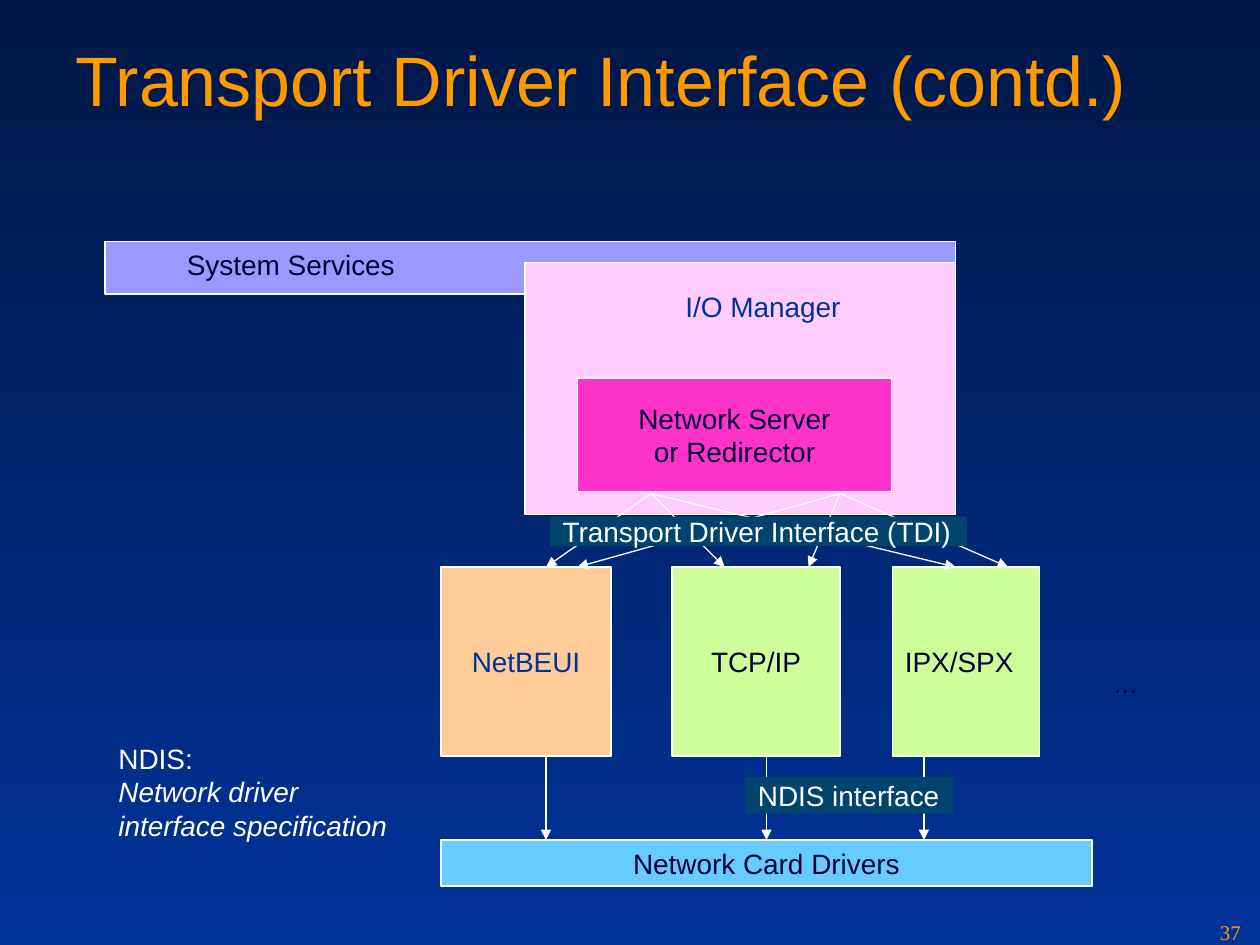
from lxml import etree
from pptx import Presentation
from pptx import util as u
from pptx.dml.color import RGBColor
from pptx.enum import shapes, text
from pptx.oxml.ns import qn

NAVY = RGBColor(0x00, 0x17, 0x46)
BLUE = RGBColor(0x00, 0x33, 0x99)
INK = RGBColor(0x00, 0x00, 0x33)
WHITE = RGBColor(0xFF, 0xFF, 0xFF)
ORANGE = RGBColor(0xFE, 0x99, 0x00)
LILAC = RGBColor(0x99, 0x99, 0xFF)
PALE_PINK = RGBColor(0xFF, 0xCC, 0xFF)
MAGENTA = RGBColor(0xFF, 0x33, 0xCC)
PEACH = RGBColor(0xFF, 0xCC, 0x99)
LIME = RGBColor(0xCC, 0xFF, 0x99)
SKY = RGBColor(0x66, 0xCC, 0xFF)
TEAL = RGBColor(0x00, 0x43, 0x6E)

TOP, MIDDLE = text.MSO_ANCHOR.TOP, text.MSO_ANCHOR.MIDDLE
LEFT, CENTER = text.PP_ALIGN.LEFT, text.PP_ALIGN.CENTER

# Rows shared by the arrows and the boxes they join
SOURCE_ROW, PROTOCOL_ROW, PROTOCOL_END, DRIVER_ROW = 47, 54, 72, 80


def grid(*cells):
    """Turn columns and rows of the 120 x 90 grid into lengths."""
    return [u.Inches(c / 12) for c in cells]


def write(sp, lines, color, align=LEFT, anchor=TOP, wrap=True, indent=0.1, **fmt):
    tf = sp.text_frame
    tf.word_wrap = wrap
    tf.vertical_anchor = anchor
    tf.margin_left = u.Inches(indent)
    for i, line in enumerate(lines):
        p = tf.paragraphs[0] if i == 0 else tf.add_paragraph()
        p.text = line
        p.alignment = align
        for name, value in {"name": "Arial", "size": u.Pt(16), **fmt}.items():
            setattr(p.font, name, value)
        p.font.color.rgb = color


def box(s, cells, fill, lines=(), color=INK, outline=True, **layout):
    sp = s.shapes.add_shape(shapes.MSO_SHAPE.RECTANGLE, *grid(*cells))
    sp.shadow.inherit = False
    sp.fill.solid()
    sp.fill.fore_color.rgb = fill
    if outline:
        sp.line.color.rgb = WHITE
        sp.line.width = u.Pt(0.75)
    else:
        sp.line.fill.background()
    write(sp, lines, color, **layout)
    return sp


def label(s, cells, lines, color, **layout):
    sp = s.shapes.add_textbox(*grid(*cells))
    write(sp, lines, color, **layout)
    return sp


def arrow(s, start, end):
    cx = s.shapes.add_connector(shapes.MSO_CONNECTOR.STRAIGHT, *grid(*start, *end))
    cx.line.color.rgb = WHITE
    cx.line.width = u.Pt(0.75)
    etree.SubElement(cx.line._get_or_add_ln(), qn("a:tailEnd"), type="triangle")
    etree.SubElement(cx._element.spPr, qn("a:effectLst"))
    return cx


def background(s):
    fill = s.background.fill
    fill.gradient()
    fill.gradient_angle = 270
    for stop, color, position in zip(fill.gradient_stops, (NAVY, BLUE), (0, 1)):
        stop.color.rgb = color
        stop.position = position


def title(s, words):
    sp = s.shapes.title
    frame = dict(zip(("left", "top", "width", "height"), grid(6, 2.9, 108, 15)))
    for name, value in frame.items():
        setattr(sp, name, value)
    write(sp, [words], ORANGE, size=u.Pt(40))


def main():
    prs = Presentation()
    prs.slide_width, prs.slide_height = grid(120, 90)
    s = prs.slides.add_slide(prs.slide_layouts[5])
    background(s)
    title(s, "Transport Driver Interface (contd.)")

    # System layers
    box(s, (10, 23, 81, 5), LILAC, ["System Services"], indent=0.65)
    box(s, (50, 25, 41, 24), PALE_PINK)
    label(s, (64.1, 27, 17.2, 4.4), ["I/O Manager"], BLUE, wrap=False)
    box(s, (55, 36, 29.9, 10.8), MAGENTA, ["Network Server\vor Redirector"],
        align=CENTER, anchor=MIDDLE)

    # Protocol stacks
    for name, left, width, fill, color, align in (
        ("NetBEUI", 42, 16.2, PEACH, BLUE, CENTER),
        ("TCP/IP", 64, 16, LIME, INK, CENTER),
        ("IPX/SPX", 85, 14, LIME, INK, LEFT),
    ):
        box(s, (left, PROTOCOL_ROW, width, PROTOCOL_END - PROTOCOL_ROW), fill,
            [name], color, align=align, anchor=MIDDLE)
    label(s, (104.9, 62.8, 4.6, 4.4), ["..."], INK, wrap=False)

    # Transport interface: each source column fans out to every protocol
    for source, targets in ((62, (52, 69, 91)), (80, (55, 77, 96))):
        for target in targets:
            arrow(s, (source, SOURCE_ROW), (target, PROTOCOL_ROW))
    box(s, (52.4, 49.2, 39.7, 2.8), TEAL, ["Transport Driver Interface (TDI)"],
        WHITE, outline=False, anchor=MIDDLE, wrap=False)

    # Drivers and the interface above them
    drivers = box(s, (42, DRIVER_ROW, 62, 4.4), SKY, ["Network Card Drivers"],
                  align=CENTER)
    driver_middle = 73
    for col in (52, driver_middle, 88):
        cx = arrow(s, (col, PROTOCOL_END), (col, DRIVER_ROW))
        if col == driver_middle:
            cx.end_connect(drivers, 0)
    box(s, (71, 74, 19.8, 3.5), TEAL, ["NDIS interface"], WHITE,
        outline=False, anchor=MIDDLE, wrap=False)

    # Explanation and slide number
    note = label(s, (10.1, 70, 28, 10.8),
                 ["NDIS:", "Network driver\vinterface specification"], WHITE,
                 wrap=False)
    note.text_frame.paragraphs[1].font.italic = True
    label(s, (115, 87, 5, 3), ["37"], ORANGE, name="Times New Roman", size=u.Pt(12))

    prs.save("out.pptx")


if __name__ == "__main__":
    main()
